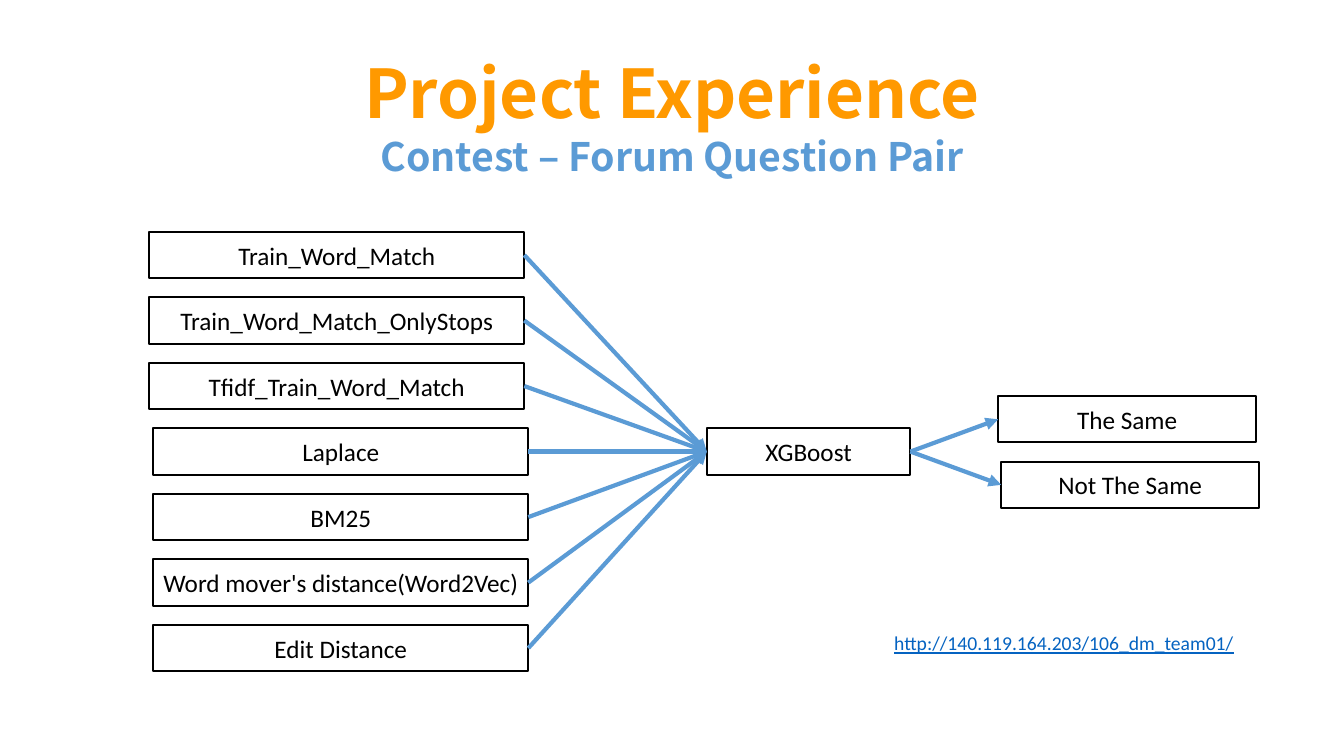
from pptx import Presentation
from pptx.dml.color import RGBColor
from pptx.enum import shapes, text
from pptx.oxml.ns import qn
from pptx.util import Inches, Pt
from lxml import etree

BLUE = "5B9BD5"
BLACK = "000000"
HEAD = "Noto Sans CJK SC"
BODY = "Calibri"
HIGH = 0.46  # height of every box
STEP = 0.65  # distance from one feature row to the next

FEATS = [
    ("Train_Word_Match", 1.48),
    ("Train_Word_Match_OnlyStops", 1.48),
    ("Tfidf_Train_Word_Match", 1.48),
    ("Laplace", 1.52),
    ("BM25", 1.52),
    ("Word mover's distance(Word2Vec)", 1.52),
    ("Edit Distance", 1.52),
]
ENDS = [("The Same", 9.9, 3.93), ("Not The Same", 9.93, 4.58)]


def color(code):
    return RGBColor.from_string(code)


def write(shape, words, size=18, font=BODY, ink=BLACK, bold=False, under=False,
          align=text.PP_ALIGN.CENTER, anchor=text.MSO_ANCHOR.MIDDLE, space=1.0):
    frame = shape.text_frame
    frame.word_wrap = True
    frame.auto_size = text.MSO_AUTO_SIZE.NONE
    frame.vertical_anchor = anchor
    para = frame.paragraphs[0]
    para.alignment = align
    para.line_spacing = space
    run = para.add_run()
    run.text = words
    run.font.size = Pt(size)
    run.font.name = font
    run.font.bold = bold
    run.font.underline = under
    run.font.color.rgb = color(ink)


def place(shape, x, y, w, h):
    shape.left, shape.top = Inches(x), Inches(y)
    shape.width, shape.height = Inches(w), Inches(h)


def label(slide, words, x, y, w, h, **style):
    field = slide.shapes.add_textbox(Inches(x), Inches(y), Inches(w), Inches(h))
    write(field, words, **style)


def box(slide, words, x, y, w):
    rect = slide.shapes.add_shape(shapes.MSO_SHAPE.RECTANGLE, Inches(x),
                                  Inches(y), Inches(w), Inches(HIGH))
    rect.shadow.inherit = False
    rect.fill.background()
    rect.line.color.rgb = color(BLACK)
    rect.line.width = Pt(1.5)
    write(rect, words)
    # Narrow insets keep the longest name on one line
    rect.text_frame.margin_left = rect.text_frame.margin_right = Inches(0.05)
    return rect


def arrow(slide, start, end):
    """Arrow from the right side of one box to the left side of another."""
    link = slide.shapes.add_connector(shapes.MSO_CONNECTOR.STRAIGHT, 0, 0, 0, 0)
    link.begin_connect(start, 3)
    link.end_connect(end, 1)
    link.line.color.rgb = color(BLUE)
    link.line.width = Pt(3)
    tip = etree.SubElement(link.line._get_or_add_ln(), qn("a:tailEnd"))
    tip.set("type", "triangle")
    etree.SubElement(link._element.spPr, qn("a:effectLst"))


def main():
    deck = Presentation()
    deck.slide_width, deck.slide_height = Inches(13.33), Inches(7.5)
    slide = deck.slides.add_slide(deck.slide_layouts[5])

    # Title and subtitle
    title = slide.shapes.title
    place(title, 2.2, 0.65, 8.93, 0.62)
    write(title, "Project Experience", size=48, font=HEAD, ink="FF9900",
          bold=True, space=0.9)
    label(slide, "Contest – Forum Question Pair", 2.2, 1.27, 8.93, 0.62,
          size=28, font=HEAD, ink=BLUE, bold=True, space=0.9)

    # Features lead into the model
    model = box(slide, "XGBoost", 7.01, 4.25, 2.02)
    for row, (name, x) in enumerate(FEATS):
        feat = box(slide, name, x, 2.3 + row * STEP, 3.72)
        arrow(slide, feat, model)

    # The model leads to the two answers
    for name, x, y in ENDS:
        arrow(slide, model, box(slide, name, x, y, 2.56))

    # Web address
    label(slide, "http://140.119.164.203/106_dm_team01/", 8.77, 6.21, 3.7, 0.34,
          size=14, ink="0563C1", under=True, align=text.PP_ALIGN.LEFT,
          anchor=text.MSO_ANCHOR.TOP)

    deck.save("out.pptx")


if __name__ == "__main__":
    main()
